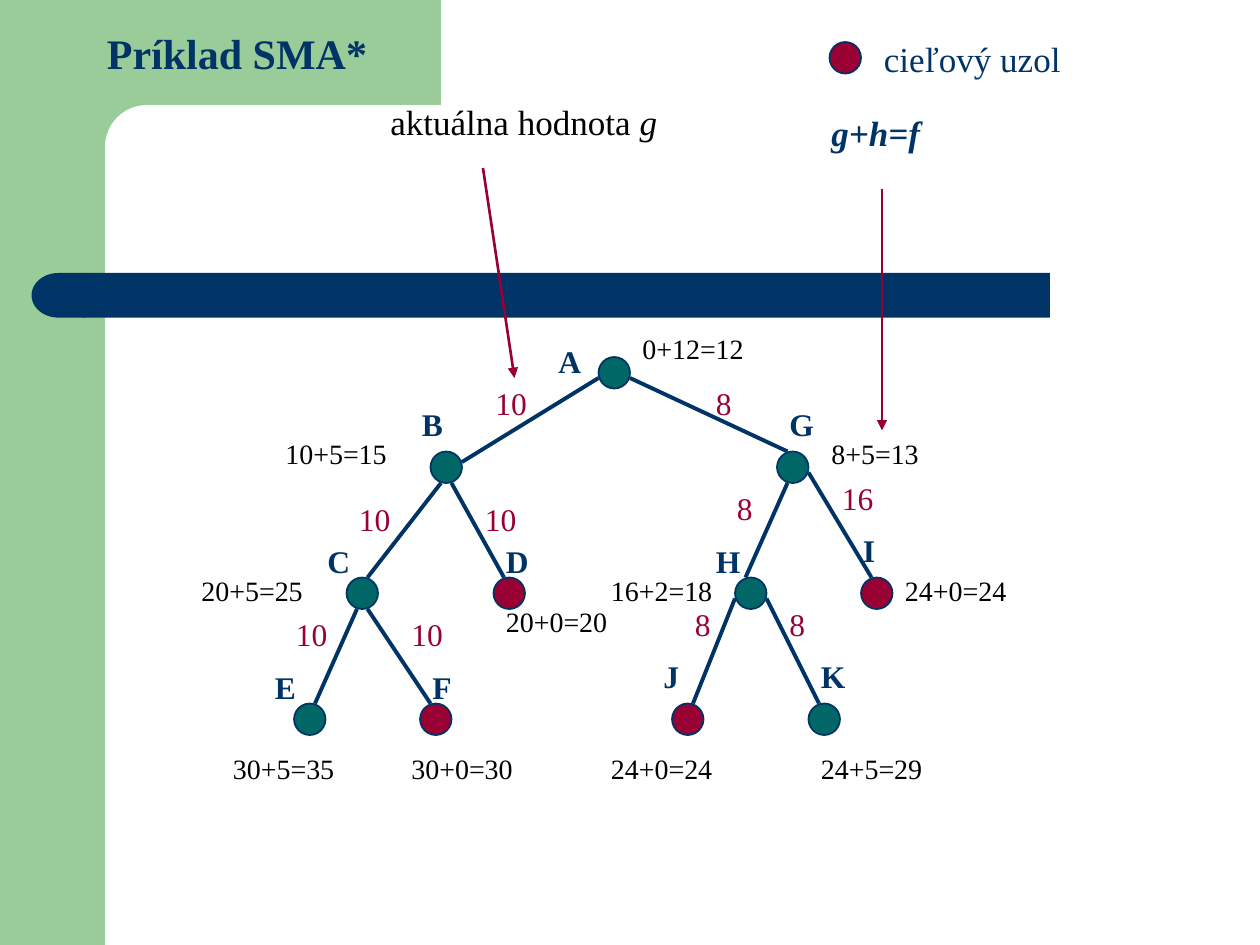
"""Build the SMA* search tree slide."""
from dataclasses import dataclass
from typing import NamedTuple

from lxml.etree import SubElement
from pptx import Presentation
from pptx.dml.color import RGBColor
from pptx.enum.shapes import MSO_CONNECTOR, MSO_SHAPE
from pptx.enum.text import MSO_AUTO_SIZE
from pptx.oxml.ns import qn
from pptx.shapes.autoshape import Shape
from pptx.slide import Slide
from pptx.util import Emu, Pt

EMU_PER_PX = 9525


@dataclass(frozen=True)
class Theme:
    font: str = "Times New Roman"
    navy: str = "003366"
    green: str = "99CC99"
    teal: str = "006666"
    crimson: str = "990033"
    white: str = "FFFFFF"
    black: str = "000000"
    title_size: int = 24
    legend_size: int = 20
    label_size: int = 18
    estimate_size: int = 16
    space_ratio: float = 0.625
    outline: float = 1
    edge: float = 2.25


class Point(NamedTuple):
    x: int
    y: int


class Area(NamedTuple):
    x: int
    y: int
    width: int
    height: int


@dataclass(frozen=True)
class Node:
    name: str
    at: Point
    name_at: Point
    estimate: str
    estimate_at: Point
    goal: bool = False


@dataclass(frozen=True)
class Edge:
    start: Point
    end: Point
    cost: str
    cost_at: Point


@dataclass(frozen=True)
class Caption:
    text: str
    at: Point
    width: int
    size: int
    color: str
    bold: bool = False
    italic: bool = False
    italic_tail: str = ""


@dataclass(frozen=True)
class Arrow:
    start: Point
    end: Point
    weight: float


THEME = Theme()
NODE_SIZE = 24
NAME_WIDTH, COST_WIDTH, ESTIMATE_WIDTH = 56, 48, 112

NODES = [
    Node("A", Point(456, 272), Point(416, 256), "0+12=12", Point(480, 248)),
    Node("B", Point(328, 344), Point(312, 304), "10+5=15", Point(208, 328)),
    Node("G", Point(592, 344), Point(592, 304), "8+5=13", Point(624, 328)),
    Node("C", Point(264, 440), Point(240, 408), "20+5=25", Point(144, 432)),
    Node("D", Point(376, 440), Point(376, 408), "20+0=20", Point(376, 456), True),
    Node("H", Point(560, 440), Point(536, 408), "16+2=18", Point(456, 432)),
    Node("I", Point(656, 440), Point(648, 400), "24+0=24", Point(680, 432), True),
    Node("E", Point(224, 536), Point(200, 504), "30+5=35", Point(168, 568)),
    Node("F", Point(320, 536), Point(320, 504), "30+0=30", Point(304, 568), True),
    Node("J", Point(512, 536), Point(496, 496), "24+0=24", Point(456, 568), True),
    Node("K", Point(616, 536), Point(616, 496), "24+5=29", Point(616, 568)),
]
EDGES = [
    Edge(Point(456, 288), Point(352, 352), "10", Point(368, 288)),
    Edge(Point(480, 288), Point(600, 344), "8", Point(536, 288)),
    Edge(Point(336, 368), Point(280, 440), "10", Point(264, 376)),
    Edge(Point(344, 368), Point(384, 440), "10", Point(360, 376)),
    Edge(Point(600, 368), Point(568, 440), "8", Point(552, 368)),
    Edge(Point(616, 360), Point(664, 440), "16", Point(632, 360)),
    Edge(Point(272, 464), Point(240, 536), "10", Point(216, 464)),
    Edge(Point(280, 464), Point(328, 536), "10", Point(304, 464)),
    Edge(Point(560, 456), Point(528, 536), "8", Point(520, 456)),
    Edge(Point(584, 456), Point(624, 536), "8", Point(592, 456)),
]
TITLE = Caption("Príklad SMA*", Point(72, 16), 464, THEME.title_size, THEME.navy, bold=True)
LEGEND = [
    Caption("g+h=f", Point(624, 80), 160, THEME.legend_size, THEME.navy, True, True),
    Caption("cieľový uzol", Point(664, 24), 168, THEME.legend_size, THEME.navy),
    Caption("aktuálna hodnota ", Point(288, 72), 256, THEME.legend_size, THEME.black,
            italic_tail="g"),
]
ARROWS = [
    Arrow(Point(672, 144), Point(672, 328), 1),
    Arrow(Point(368, 128), Point(392, 288), 1.5),
]


def px(length: float) -> Emu:
    """Turn pixels into EMU."""
    return Emu(round(length * EMU_PER_PX))


def add_block(slide: Slide, kind: MSO_SHAPE, area: Area, color: str) -> Shape:
    """Draw a filled shape without outline or shadow."""
    block = slide.shapes.add_shape(kind, *map(px, area))
    block.shadow.inherit = False
    block.fill.solid()
    block.fill.fore_color.rgb = RGBColor.from_string(color)
    block.line.fill.background()
    return block


def add_circle(slide: Slide, at: Point, goal: bool) -> None:
    """Draw a tree node, coloured by whether it is a goal."""
    color = THEME.crimson if goal else THEME.teal
    circle = add_block(slide, MSO_SHAPE.OVAL, Area(*at, NODE_SIZE, NODE_SIZE), color)
    circle.line.color.rgb = RGBColor.from_string(THEME.navy)
    circle.line.width = Pt(THEME.outline)


def add_line(slide: Slide, start: Point, end: Point, color: str, weight: float,
             arrow: bool = False) -> None:
    """Draw a straight line, with an arrowhead at its end if asked."""
    line = slide.shapes.add_connector(MSO_CONNECTOR.STRAIGHT, *map(px, (*start, *end)))
    line.line.color.rgb = RGBColor.from_string(color)
    line.line.width = Pt(weight)
    if arrow:
        SubElement(line.line._get_or_add_ln(), qn("a:tailEnd"), type="triangle")
    SubElement(line._element.spPr, qn("a:effectLst"))


def add_caption(slide: Slide, caption: Caption) -> None:
    """Write one line of text in a box sized by its type."""
    height = caption.size * 1.6 + 10
    box = slide.shapes.add_textbox(*map(px, (*caption.at, caption.width, height)))
    frame = box.text_frame
    frame.word_wrap = True
    frame.auto_size = MSO_AUTO_SIZE.SHAPE_TO_FIT_TEXT
    para = frame.paragraphs[0]
    para.text = caption.text
    para.space_before = Pt(caption.size * THEME.space_ratio)
    if caption.italic_tail:
        para.add_run().text = caption.italic_tail
    for span in para.runs:
        span.font.name = THEME.font
        span.font.size = Pt(caption.size)
        span.font.bold = caption.bold
        span.font.italic = caption.italic
        span.font.color.rgb = RGBColor.from_string(caption.color)
    if caption.italic_tail:
        para.runs[-1].font.italic = True


def add_background(slide: Slide) -> None:
    """Draw the green frame and the navy bar."""
    add_block(slide, MSO_SHAPE.RECTANGLE, Area(0, 0, 80, 720), THEME.green)
    add_block(slide, MSO_SHAPE.RECTANGLE, Area(72, 0, 264, 112), THEME.green)
    corner = add_block(slide, MSO_SHAPE.ROUNDED_RECTANGLE, Area(80, 80, 536, 64), THEME.white)
    corner.adjustments[0] = 0.5
    add_block(slide, MSO_SHAPE.RECTANGLE, Area(64, 208, 736, 34), THEME.navy)
    cap = add_block(slide, MSO_SHAPE.FLOWCHART_DELAY, Area(24, 208, 41, 34), THEME.navy)
    cap.rotation = 180


def add_tree(slide: Slide) -> None:
    """Draw the nodes, edges and their labels."""
    for node in NODES:
        add_circle(slide, node.at, node.goal)
    for edge in EDGES:
        add_line(slide, edge.start, edge.end, THEME.navy, THEME.edge)
    for node in NODES:
        add_caption(slide, Caption(node.name, node.name_at, NAME_WIDTH,
                                   THEME.label_size, THEME.navy, bold=True))
    for edge in EDGES:
        add_caption(slide, Caption(edge.cost, edge.cost_at, COST_WIDTH,
                                   THEME.label_size, THEME.crimson))
    for node in NODES:
        add_caption(slide, Caption(node.estimate, node.estimate_at, ESTIMATE_WIDTH,
                                   THEME.estimate_size, THEME.black))


def main() -> None:
    """Build and save the deck."""
    deck = Presentation()
    deck.slide_width, deck.slide_height = px(960), px(720)
    page = deck.slides.add_slide(deck.slide_layouts[6])
    add_background(page)
    add_caption(page, TITLE)
    add_tree(page)
    for arrow in ARROWS:
        add_line(page, arrow.start, arrow.end, THEME.crimson, arrow.weight, arrow=True)
    add_circle(page, Point(632, 32), goal=True)
    for caption in LEGEND:
        add_caption(page, caption)
    deck.save("out.pptx")


if __name__ == "__main__":
    main()
